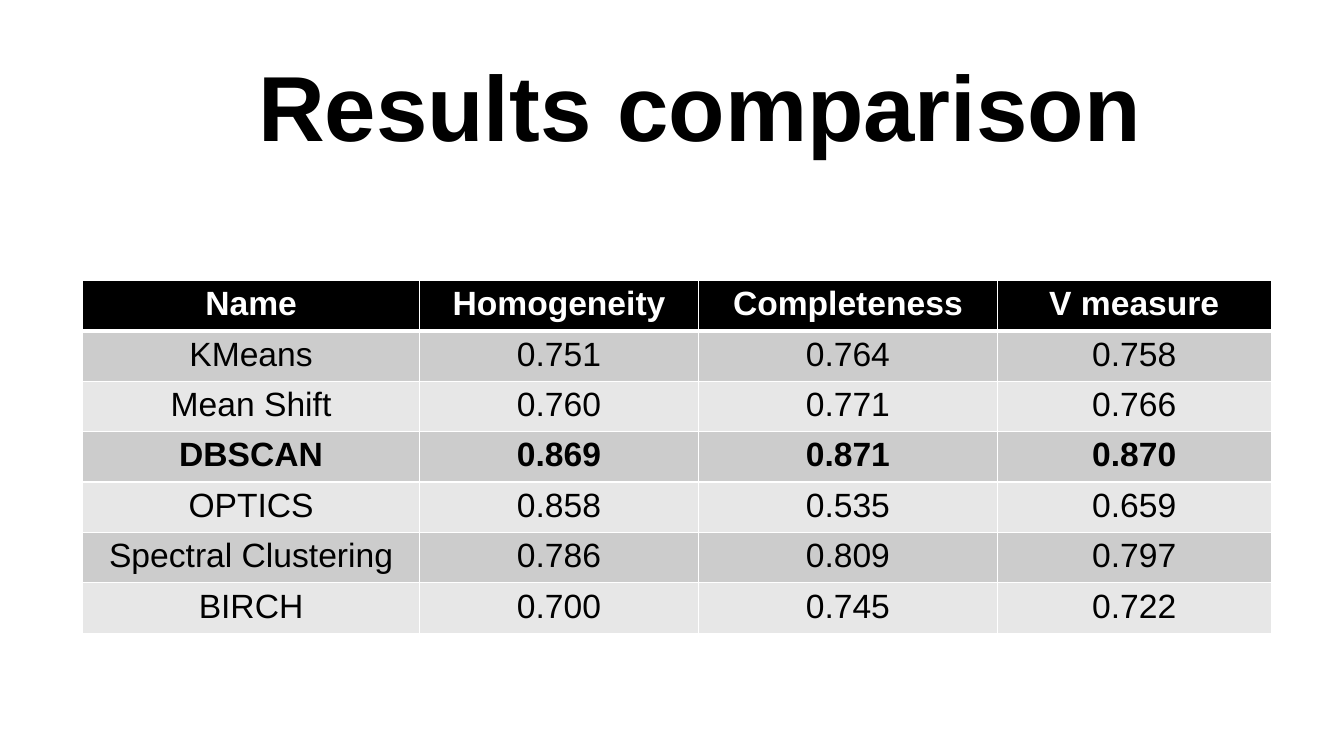
from lxml import etree
from pptx import Presentation
from pptx import util as u
from pptx.dml.color import RGBColor
from pptx.enum import text
from pptx.oxml.ns import qn

COLORS = {"ink": "000000", "paper": "FFFFFF", "dark": "CCCCCC", "light": "E7E7E7"}

HEADER = ["Name", "Homogeneity", "Completeness", "V measure"]
RESULTS = [
    ["KMeans", "0.751", "0.764", "0.758"],
    ["Mean Shift", "0.760", "0.771", "0.766"],
    ["DBSCAN", "0.869", "0.871", "0.870"],
    ["OPTICS", "0.858", "0.535", "0.659"],
    ["Spectral Clustering", "0.786", "0.809", "0.797"],
    ["BIRCH", "0.700", "0.745", "0.722"],
]
BEST = "DBSCAN"


class Deck:
    font = "Arial"
    title_size = 66
    cell_size = 24

    def __init__(self, width, height):
        self.prs = Presentation()
        self.prs.slide_width = u.Inches(width)
        self.prs.slide_height = u.Inches(height)
        self.s = self.prs.slides.add_slide(self.prs.slide_layouts[5])

    def style(self, p, size, color, bold, align):
        p.alignment = align
        for r in p.runs:
            r.font.name = self.font
            r.font.size = u.Pt(size)
            r.font.bold = bold
            r.font.color.rgb = RGBColor.from_string(COLORS[color])

    def title(self, words, left, top, width, height):
        sp = self.s.shapes.title
        sp.left, sp.top = u.Inches(left), u.Inches(top)
        sp.width, sp.height = u.Inches(width), u.Inches(height)
        tf = sp.text_frame
        tf.text = words
        tf.word_wrap = False
        tf.auto_size = text.MSO_AUTO_SIZE.SHAPE_TO_FIT_TEXT
        tf.vertical_anchor = text.MSO_ANCHOR.TOP
        self.style(tf.paragraphs[0], self.title_size, "ink", True, text.PP_ALIGN.LEFT)

    def borders(self, cell, **widths):
        tcPr = cell._tc.get_or_add_tcPr()
        for i, side in enumerate("LRTB"):
            ln = etree.Element(qn(f"a:ln{side}"), w=str(u.Pt(widths.get(side, 1))))
            fill = etree.SubElement(ln, qn("a:solidFill"))
            etree.SubElement(fill, qn("a:srgbClr"), val=COLORS["paper"])
            tcPr.insert(i, ln)

    def cell(self, cell, words, fill, color, bold):
        cell.text = words
        cell.fill.solid()
        cell.fill.fore_color.rgb = RGBColor.from_string(COLORS[fill])
        self.style(cell.text_frame.paragraphs[0], self.cell_size, color, bold,
                   text.PP_ALIGN.CENTER)

    def table(self, header, rows, best, left, top, widths, row_height):
        lines = [header] + rows
        table = self.s.shapes.add_table(
            len(lines), len(widths), u.Inches(left), u.Inches(top),
            u.Inches(sum(widths)), u.Inches(row_height * len(lines))).table
        for column, width in zip(table.columns, widths):
            column.width = u.Inches(width)
        for i, line in enumerate(lines):
            # Black header, then alternating grey bands
            fill = "ink" if i == 0 else "dark" if i % 2 else "light"
            color = "paper" if i == 0 else "ink"
            for j, words in enumerate(line):
                cell = table.cell(i, j)
                self.cell(cell, words, fill, color, i == 0 or line[0] == best)
                # Thick rule between header and body
                self.borders(cell, T=3 if i == 1 else 1, B=3 if i == 0 else 1)


def main():
    deck = Deck(13.33, 7.5)

    # Heading
    deck.title("Results comparison", 2.46, 0.44, 9.06, 1.21)

    # Clustering scores
    deck.table(HEADER, RESULTS, BEST, 0.82, 2.78, [3.34, 2.77, 2.96, 2.72], 0.5)

    deck.prs.save("out.pptx")


if __name__ == "__main__":
    main()
